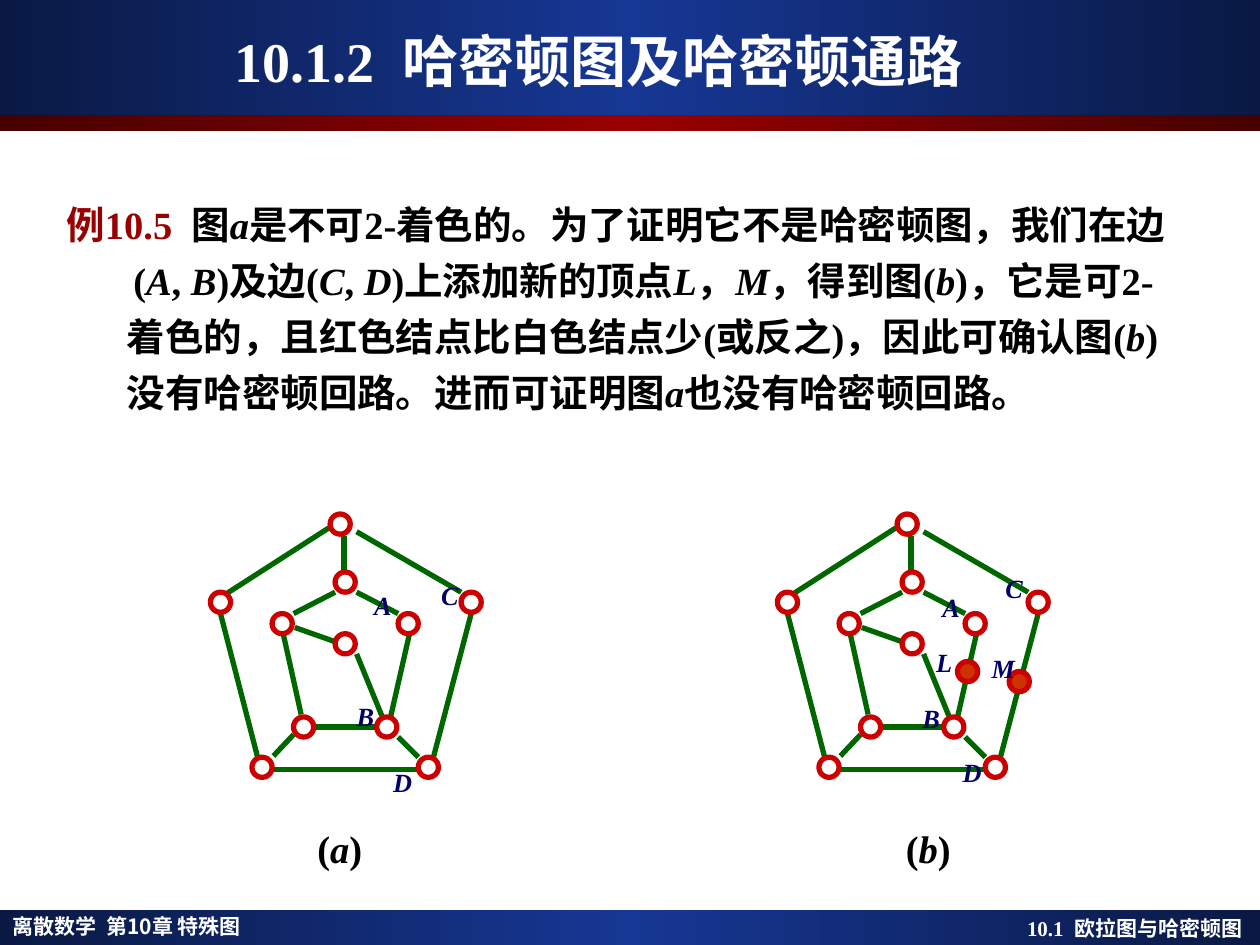
from copy import deepcopy

from lxml import etree
from pptx import Presentation
from pptx.dml.color import RGBColor
from pptx.enum.shapes import MSO_CONNECTOR, MSO_SHAPE
from pptx.enum.text import MSO_ANCHOR, PP_ALIGN
from pptx.oxml.ns import qn
from pptx.util import Inches, Pt

RECTANGLE, OVAL = MSO_SHAPE.RECTANGLE, MSO_SHAPE.OVAL
STRAIGHT = MSO_CONNECTOR.STRAIGHT
LEFT, CENTER, RIGHT = PP_ALIGN.LEFT, PP_ALIGN.CENTER, PP_ALIGN.RIGHT
TOP, MIDDLE = MSO_ANCHOR.TOP, MSO_ANCHOR.MIDDLE

WHITE = RGBColor(0xFF, 0xFF, 0xFF)
BLACK = RGBColor(0x00, 0x00, 0x00)
NAVY = RGBColor(0x0A, 0x19, 0x44)
BLUE = RGBColor(0x16, 0x37, 0x94)
MAROON = RGBColor(0x46, 0x00, 0x00)
RED = RGBColor(0x99, 0x00, 0x00)
EDGE_GREEN = RGBColor(0x00, 0x66, 0x00)
NODE_RED = RGBColor(0xCC, 0x00, 0x00)
NODE_FILL = RGBColor(0xCC, 0x33, 0x00)
LABEL_BLUE = RGBColor(0x00, 0x00, 0x66)

SERIF, SANS = "Times New Roman", "Noto Sans CJK JP"
GAP = "gap"  # a space of double width

# Bands: top, height, edge colour, middle colour
BANDS = [
    (7.22, 0.28, NAVY, BLUE),
    (0, 0.91, NAVY, BLUE),
    (0.91, 0.13, MAROON, RED),
]

TITLE = ["10.1.2", GAP, "哈密顿图及哈密顿通路"]
CHAPTER = ["离散数学", GAP, "第10章 特殊图"]
SECTION = ["10.1", GAP, "欧拉图与哈密顿图"]

# Example lines: left indent, spans; single Latin letters are italic
EXAMPLE = [
    (0, [("例10.5", RED), GAP, "图", "a",
         "是不可2-着色的。为了证明它不是哈密顿图，我们在边"]),
    (0.53, ["(", "A", ", ", "B", ")及边(", "C", ", ", "D", ")上添加新的顶点",
            "L", "，", "M", "，得到图(", "b", ")，它是可2-"]),
    (0.48, ["着色的，且红色结点比白色结点少(或反之)，因此可确认图(", "b", ")"]),
    (0.48, ["没有哈密顿回路。进而可证明图", "a", "也没有哈密顿回路。"]),
]

# The graph shared by both figures: edge ends and node corners
EDGES = [
    (2.34, 4.98, 2.68, 5.1), (2.25, 5.04, 2.39, 5.67),
    (2.16, 6.11, 3.32, 6.11), (1.8, 4.71, 2.61, 4.19),
    (1.75, 4.87, 2.05, 6.03), (2.83, 4.22, 3.66, 4.7),
    (3.74, 4.87, 3.44, 6.01), (2.51, 5.77, 2.98, 5.77),
    (2.66, 4.7, 2.33, 4.87), (2.83, 4.7, 3.16, 4.87),
    (3.25, 5.03, 3.1, 5.69), (2.73, 4.25, 2.73, 4.55),
    (2.33, 5.83, 2.17, 6), (3.16, 5.85, 3.32, 6.01),
    (2.83, 5.19, 3.03, 5.68),
]
NODES = [
    (1.67, 4.7), (3.66, 4.7), (2.16, 4.87), (3.16, 4.87), (2.33, 5.69),
    (2.99, 5.69), (2.66, 5.03), (2.66, 4.54), (2.62, 4.08), (3.32, 6.01),
    (2, 6.01),
]
NODE_SIZE = 0.16

# Figures: name, caption left, graph shift, added red nodes, vertex labels
FIGURES = [
    ("a", 2.42, 0, [],
     {"B": (2.83, 5.56), "A": (2.97, 4.68), "C": (3.5, 4.6), "D": (3.12, 6.08)}),
    ("b", 7.09, 4.5, [(7.6, 5.25), (8.01, 5.33)],
     {"B": (7.32, 5.57), "A": (7.48, 4.69), "C": (7.98, 4.54), "D": (7.64, 6),
      "L": (7.43, 5.13), "M": (7.87, 5.18)}),
]


def add_band(page, top, height, edge, middle):
    band = page.shapes.add_shape(RECTANGLE, 0, Inches(top), Inches(10), Inches(height))
    band.shadow.inherit = False
    band.line.fill.background()
    band.fill.gradient()
    band.fill.gradient_angle = 0
    stop_list = band._element.spPr.find(".//" + qn("a:gsLst"))
    stop_list.append(deepcopy(stop_list[-1]))
    for stop, place, color in zip(band.fill.gradient_stops, (0, 0.5, 1), (edge, middle, edge)):
        stop.position = place
        stop.color.rgb = color


def add_text(shapes, area, lines, size, color, font=SERIF, align=LEFT, anchor=TOP,
             insets=(0.1, 0.05, 0.1, 0.05), line_spacing=None):
    box = shapes.add_textbox(*map(Inches, area))
    frame = box.text_frame
    frame.word_wrap = True
    frame.vertical_anchor = anchor
    (frame.margin_left, frame.margin_top,
     frame.margin_right, frame.margin_bottom) = map(Inches, insets)
    for number, (indent, spans) in enumerate(lines):
        para = frame.add_paragraph() if number else frame.paragraphs[0]
        para.alignment = align
        para.line_spacing = line_spacing
        if number:
            para.space_before = Pt(5.5)
        if indent:
            para._p.get_or_add_pPr().set("marL", str(Inches(indent)))
        for item in spans:
            text, tint = item if isinstance(item, tuple) else (item, color)
            span = para.add_run()
            span.text = " " if text == GAP else text
            span.font.name, span.font.size = font, Pt(size)
            span.font.bold = True
            span.font.italic = len(text) == 1 and text.isascii() and text.isalpha()
            span.font.color.rgb = tint
            if text == GAP:
                span.font._element.set("spc", str(size * 25))


def add_edge(shapes, *ends):
    edge = shapes.add_connector(STRAIGHT, *map(Inches, ends))
    edge.line.color.rgb = EDGE_GREEN
    edge.line.width = Pt(3)
    etree.SubElement(edge._element.spPr, qn("a:effectLst"))


def add_node(shapes, left, top, fill=None):
    node = shapes.add_shape(OVAL, *map(Inches, (left, top, NODE_SIZE, NODE_SIZE)))
    node.shadow.inherit = False
    node.line.color.rgb = NODE_RED
    node.line.width = Pt(3)
    if fill is None:
        node.fill.background()
    else:
        node.fill.solid()
        node.fill.fore_color.rgb = fill


def add_figure(page, name, caption_left, shift, red_nodes, labels):
    # The caption has no right inset, so that it stays on one line
    add_text(page.shapes, (caption_left, 6.5, 0.55, 0.47), [(0, ["(", name, ")"])],
             22, BLACK, insets=(0.1, 0.05, 0, 0.05))
    graph = page.shapes.add_group_shape().shapes
    for x1, y1, x2, y2 in EDGES:
        add_edge(graph, x1 + shift, y1, x2 + shift, y2)
    for left, top in NODES:
        add_node(graph, left + shift, top)
    for left, top in red_nodes:
        add_node(graph, left, top, NODE_FILL)
    for letter, (left, top) in labels.items():
        add_text(graph, (left, top, 0.89, 0.25), [(0, [letter])], 15, LABEL_BLUE,
                 insets=(0, 0, 0, 0))


def main():
    deck = Presentation()
    deck.slide_width, deck.slide_height = Inches(10), Inches(7.5)
    page = deck.slides.add_slide(deck.slide_layouts[6])

    # Header and footer
    for band in BANDS:
        add_band(page, *band)
    add_text(page.shapes, (0, 7.22, 4.13, 0.28), [(0, CHAPTER)], 12, WHITE,
             font=SANS, line_spacing=0.9)
    add_text(page.shapes, (0.33, 0.17, 9.25, 0.62), [(0, TITLE)], 32, WHITE,
             align=CENTER, anchor=MIDDLE, insets=(0.1, 0.05, 0.5, 0.05))
    add_text(page.shapes, (7.44, 7.22, 2.56, 0.3), [(0, SECTION)], 12, WHITE,
             align=RIGHT, insets=(0.1, 0.05, 0.14, 0.05))

    # Example text
    add_text(page.shapes, (0.43, 1.55, 9.57, 2.13), EXAMPLE, 22, BLACK,
             insets=(0.1, 0.05, 0, 0.05), line_spacing=1.0)

    # Graphs
    for figure in FIGURES:
        add_figure(page, *figure)

    deck.save("out.pptx")


if __name__ == "__main__":
    main()
